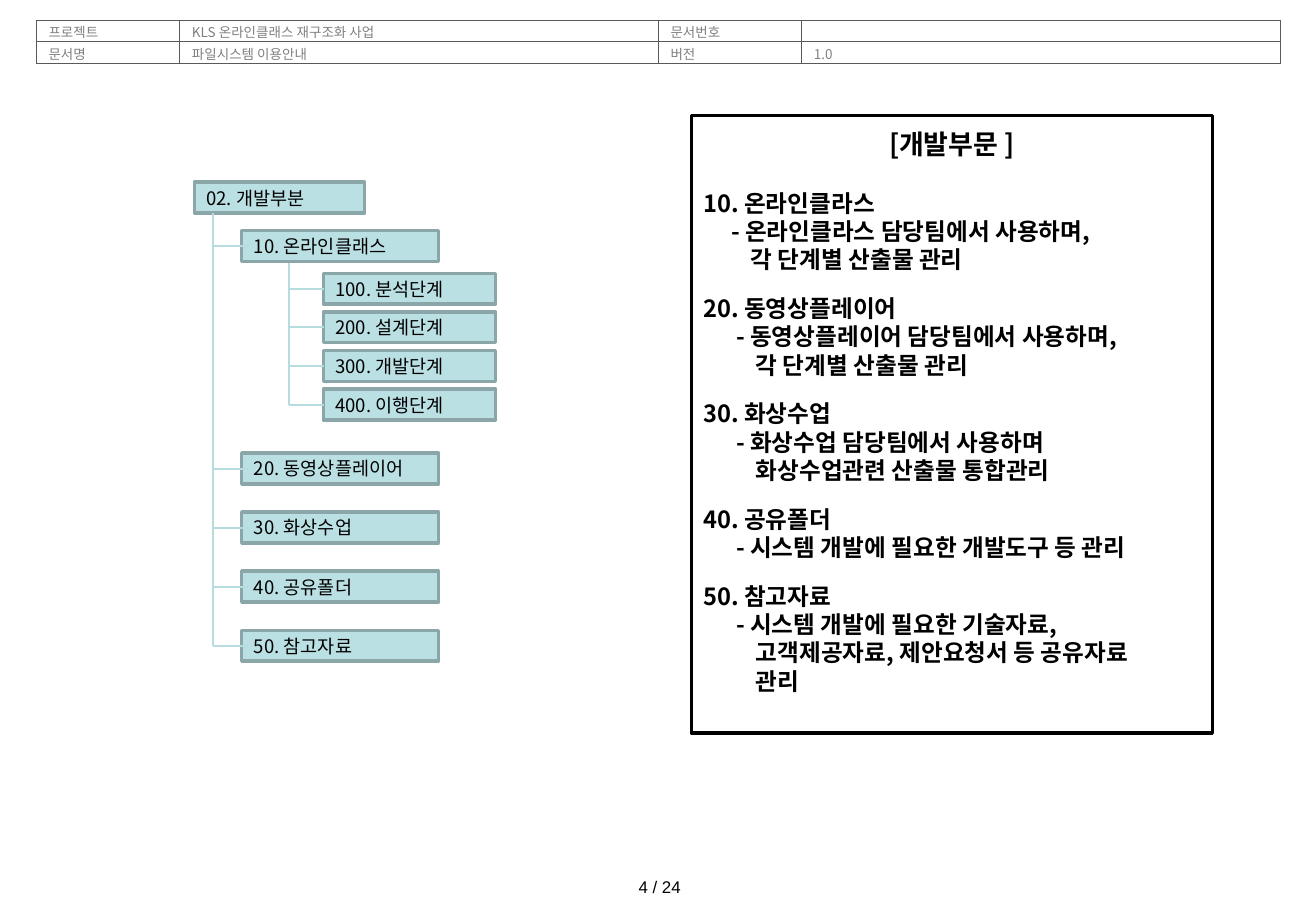
import dataclasses

import pptx
import pptx.dml.color
import pptx.enum.shapes
import pptx.enum.text
import pptx.oxml
import pptx.oxml.ns
import pptx.util

Pt = pptx.util.Pt
Align = pptx.enum.text.PP_ALIGN
Anchor = pptx.enum.text.MSO_ANCHOR
RECTANGLE = pptx.enum.shapes.MSO_SHAPE.RECTANGLE
STRAIGHT = pptx.enum.shapes.MSO_CONNECTOR.STRAIGHT


@dataclasses.dataclass(frozen=True)
class Theme:
    font: str = "Noto Sans CJK KR"
    page_font: str = "Arial"
    ink: str = "000000"
    muted: str = "808080"
    paper: str = "FFFFFF"
    grid: str = "595959"
    folder: str = "BBE0E3"
    folder_edge: str = "8AA6A8"
    branch: str = "B6DCDF"
    header_size: float = 8
    page_size: float = 10
    folder_size: float = 11
    body_size: float = 14
    title_size: float = 16
    line_ratio: float = 1.2


@dataclasses.dataclass(frozen=True)
class Box:
    left: float
    top: float
    width: float
    height: float

    def points(self):
        return [Pt(value) for value in dataclasses.astuple(self)]


THEME = Theme()

HEADER_ROWS = [
    ["프로젝트", "KLS 온라인클래스 재구조화 사업", "문서번호", ""],
    ["문서명", "파일시스템 이용안내", "버전", "1.0"],
]
STAGES = ["100. 분석단계", "200. 설계단계", "300. 개발단계", "400. 이행단계"]
SECTIONS = ["10. 온라인클래스", "20. 동영상플레이어", "30. 화상수업",
            "40. 공유폴더", "50. 참고자료"]
# Heading, indent of the dash, lines below the heading
GUIDE = [
    ("10. 온라인클라스", 16.5, ["- 온라인클라스 담당팀에서 사용하며,", "각 단계별 산출물 관리"]),
    ("20. 동영상플레이어", 19.5, ["- 동영상플레이어 담당팀에서 사용하며,", "각 단계별 산출물 관리"]),
    ("30. 화상수업", 19.5, ["- 화상수업 담당팀에서 사용하며", "화상수업관련 산출물 통합관리"]),
    ("40. 공유폴더", 19.5, ["- 시스템 개발에 필요한 개발도구 등 관리"]),
    ("50. 참고자료", 19.5, ["- 시스템 개발에 필요한 기술자료,",
                        "고객제공자료, 제안요청서 등 공유자료", "관리"]),
]


def color(value):
    return pptx.dml.color.RGBColor.from_string(value)


def apply(target, values):
    for name, value in values.items():
        setattr(target, name, value)


def write(para, text, size, ink=THEME.ink, font=THEME.font, bold=False, **layout):
    """Add one formatted span and set the paragraph's layout values."""
    apply(para, {"alignment": Align.LEFT, **layout})
    if not text:
        para._p.get_or_add_endParaRPr().set("sz", str(int(size * 100)))
        return
    span = para.add_run()
    span.text = text
    apply(span.font, {"size": Pt(size), "name": font, "bold": bold})
    span.font.color.rgb = color(ink)
    east_asian = pptx.oxml.parse_xml(
        f'<a:ea {pptx.oxml.ns.nsdecls("a")} typeface="{font}"/>')
    span.font._element.find(pptx.oxml.ns.qn("a:latin")).addnext(east_asian)


def add_rectangle(page, box, edge, fill=None):
    shape = page.shapes.add_shape(RECTANGLE, *box.points())
    shape.shadow.inherit = False
    if fill:
        shape.fill.solid()
        shape.fill.fore_color.rgb = color(fill)
    else:
        shape.fill.background()
    shape.line.color.rgb = color(edge)
    shape.line.width = Pt(2)
    return shape


def add_branch(page, left, top, right, bottom):
    line = page.shapes.add_connector(STRAIGHT, Pt(left), Pt(top), Pt(right), Pt(bottom))
    line.line.color.rgb = color(THEME.branch)
    line.line.width = Pt(1.25)
    line._element.spPr.append(
        pptx.oxml.parse_xml(f'<a:effectLst {pptx.oxml.ns.nsdecls("a")}/>'))


def add_folder(page, box, name):
    frame = add_rectangle(page, box, THEME.folder_edge, THEME.folder).text_frame
    apply(frame, {"margin_top": 0, "margin_bottom": 0, "word_wrap": True,
                  "vertical_anchor": Anchor.MIDDLE})
    write(frame.paragraphs[0], name, THEME.folder_size)


def add_folder_group(page, names, boxes, spine, spine_top, stub=20.9):
    """Draw folders and the spine whose stubs reach them."""
    middles = [box.top + box.height / 2 for box in boxes]
    for name, box in zip(names, boxes):
        add_folder(page, box, name)
    add_branch(page, spine, spine_top, spine, middles[-1])
    for middle in middles:
        add_branch(page, spine, middle, spine + stub, middle)


def add_folder_tree(page, box):
    left, top, height = box.left, box.top, 18.3
    add_folder(page, Box(left, top, 101, height), "02. 개발부분")
    stage_boxes = [Box(left + 76.4, top + 54 + 22.9 * row, 102.2, height)
                   for row in range(len(STAGES))]
    add_folder_group(page, STAGES, stage_boxes, left + 56, top + 48.2)
    section_tops = [28.8] + [160.6 + 35 * row for row in range(len(SECTIONS) - 1)]
    section_boxes = [Box(left + 28.1, top + offset, 116.6, height)
                     for offset in section_tops]
    add_folder_group(page, SECTIONS, section_boxes, left + 11, top + height)


def add_guide(page, box):
    frame = add_rectangle(page, box, THEME.ink).text_frame
    apply(frame, {"vertical_anchor": Anchor.TOP, "word_wrap": True,
                  "margin_top": Pt(7.2)})
    write(frame.paragraphs[0], "[개발부문 ]", THEME.title_size, bold=True,
          alignment=Align.CENTER, line_spacing=Pt(THEME.title_size * THEME.line_ratio))
    pitch = Pt(THEME.body_size * THEME.line_ratio)
    gap = pitch
    for heading, dash, lines in GUIDE:
        write(frame.add_paragraph(), heading, THEME.body_size, bold=True,
              line_spacing=pitch, space_before=gap)
        gap = Pt(12)
        for line in lines:
            para = frame.add_paragraph()
            indent = dash if line.startswith("-") else dash + 11.7
            para._p.get_or_add_pPr().set("marL", str(Pt(indent)))
            write(para, line, THEME.body_size, bold=True, line_spacing=pitch)


def add_cell_borders(cell):
    for side in ("L", "R", "T", "B"):
        cell._tc.get_or_add_tcPr().append(pptx.oxml.parse_xml(
            f'<a:ln{side} {pptx.oxml.ns.nsdecls("a")} w="{Pt(0.5)}"><a:solidFill>'
            f'<a:srgbClr val="{THEME.grid}"/></a:solidFill></a:ln{side}>'))


def add_header(page, box):
    table = page.shapes.add_table(2, 4, *box.points()).table
    apply(table, {"first_row": False, "horz_banding": False})
    for column, share in zip(table.columns, (1.18, 3.94, 1.18, 3.94)):
        column.width = Pt(box.width * share / 10.24)
    for row, texts in zip(table.rows, HEADER_ROWS):
        row.height = Pt(box.height / 2)
        for cell, text in zip(row.cells, texts):
            apply(cell, {"margin_left": Pt(7.2), "margin_right": Pt(7.2),
                         "margin_top": Pt(2.9), "margin_bottom": 0})
            add_cell_borders(cell)
            cell.fill.solid()
            cell.fill.fore_color.rgb = color(THEME.paper)
            write(cell.text_frame.paragraphs[0], text, THEME.header_size, THEME.muted,
                  line_spacing=Pt(THEME.header_size * THEME.line_ratio))


def add_page_number(page, box):
    frame = page.shapes.add_textbox(*box.points()).text_frame
    frame.word_wrap = False
    write(frame.paragraphs[0], "4 / 24", THEME.page_size, font=THEME.page_font,
          alignment=Align.CENTER)


def main():
    deck = pptx.Presentation()
    apply(deck, {"slide_width": Pt(780), "slide_height": Pt(540)})
    page = deck.slides.add_slide(deck.slide_layouts[6])
    add_page_number(page, Box(368, 516.2, 46, 19.4))
    add_header(page, Box(21.6, 12.2, 737.3, 25.2))
    add_folder_tree(page, Box(115.2, 108, 180, 284))
    add_guide(page, Box(409.7, 68.6, 308.9, 365.8))
    deck.save("out.pptx")


if __name__ == "__main__":
    main()
